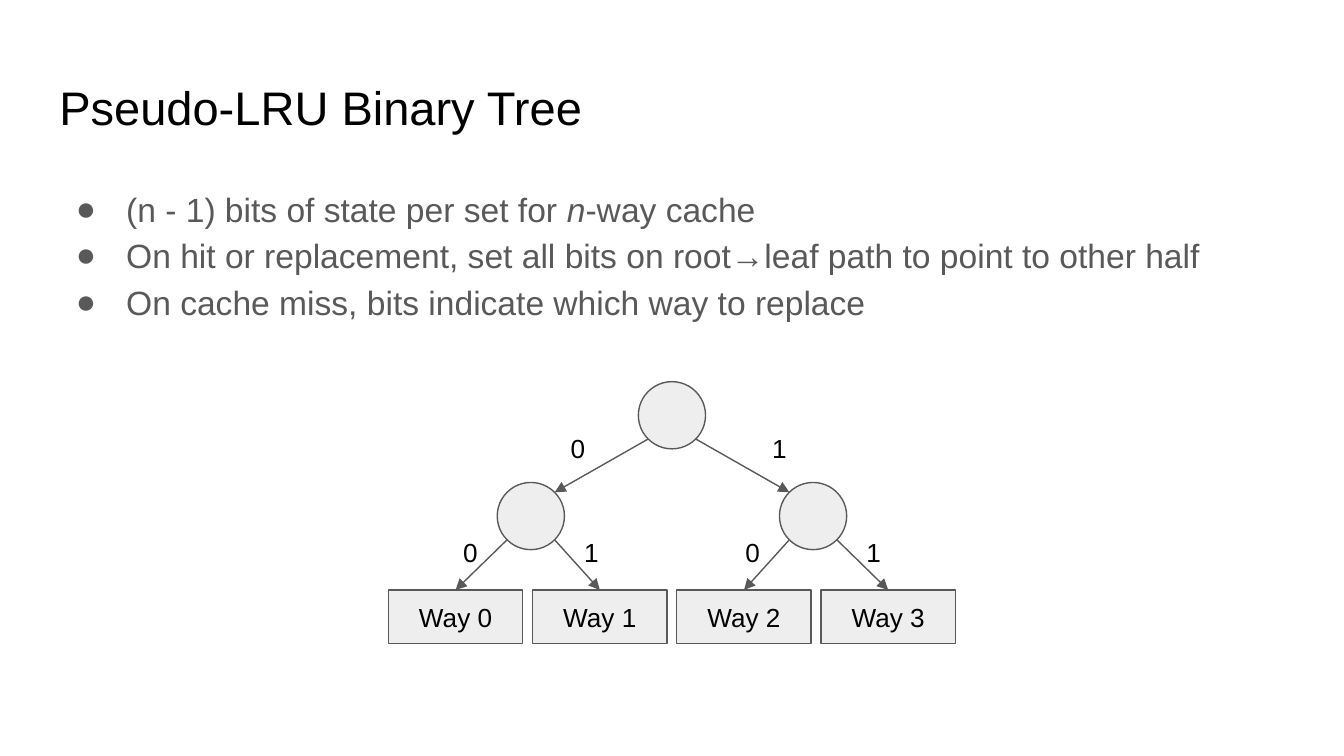
from math import sqrt
from lxml.etree import SubElement
from pptx import Presentation
from pptx.dml.color import RGBColor
from pptx.enum.shapes import MSO_CONNECTOR, MSO_SHAPE
from pptx.enum.text import MSO_ANCHOR, MSO_AUTO_SIZE, PP_ALIGN
from pptx.oxml.ns import qn
from pptx.util import Inches, Pt

COLORS = {k: RGBColor.from_string(v) for k, v in
          {"black": "000000", "gray": "595959", "light": "EEEEEE"}.items()}

prs = Presentation()
prs.slide_width = Inches(10)
prs.slide_height = prs.slide_width * 9 // 16
col = row = prs.slide_width / 100
s = prs.slides.add_slide(prs.slide_layouts[5])


def grid(x, y, w, h):
    return [round(v) for v in (x * col, y * row, w * col, h * row)]


def write(sp, paragraphs, size, color, align, anchor=MSO_ANCHOR.TOP):
    tf = sp.text_frame
    tf.word_wrap = True
    tf.auto_size = MSO_AUTO_SIZE.NONE
    tf.vertical_anchor = anchor
    tf.margin_left = tf.margin_right = tf.margin_top = tf.margin_bottom = Inches(0.1)
    for i, runs in enumerate(paragraphs):
        p = tf.add_paragraph() if i else tf.paragraphs[0]
        p.alignment = align
        for text, italic in runs:
            r = p.add_run()
            r.text = text
            r.font.name, r.font.size, r.font.italic = "Arial", Pt(size), italic
            r.font.color.rgb = COLORS[color]
    return tf


title = s.shapes.title
title.left, title.top, title.width, title.height = grid(3.41, 4.87, 93.18, 6.26)
write(title, [[("Pseudo-LRU Binary Tree", False)]], 25.2, "black", PP_ALIGN.LEFT)

bullets = [
    [("(n - 1) bits of state per set for ", False), ("n", True), ("-way cache", False)],
    [("On hit or replacement, set all bits on root→leaf path to point to other half", False)],
    [("On cache miss, bits indicate which way to replace", False)],
]
body = s.shapes.add_textbox(*grid(3.41, 12.6, 93.18, 15.5))
for p in write(body, bullets, 18, "gray", PP_ALIGN.LEFT).paragraphs:
    p.line_spacing = 1.15
    pPr = p._p.get_or_add_pPr()
    pPr.set("marL", str(Pt(36)))
    pPr.set("indent", str(Pt(-27)))
    SubElement(SubElement(pPr, qn("a:buClr")), qn("a:srgbClr"), val=str(COLORS["gray"]))
    SubElement(pPr, qn("a:buFont"), typeface="Arial")
    SubElement(pPr, qn("a:buChar"), char="●")

radius = 2.5
diag = radius / sqrt(2)
root, left, right = (50, 30.9), (39.5, 38.4), (60.5, 38.4)
way_w, way_h, way_top, way_pitch = 10, 4, 43.9, 10.73

nodes = [(MSO_SHAPE.OVAL, (x - radius, y - radius, 2 * radius, 2 * radius))
         for x, y in (root, left, right)]
boxes = [(MSO_SHAPE.RECTANGLE, (28.9 + i * way_pitch, way_top, way_w, way_h))
         for i in range(4)]
ways = []
for kind, area in nodes + boxes:
    sp = s.shapes.add_shape(kind, *grid(*area))
    sp.shadow.inherit = False
    sp.fill.solid()
    sp.fill.fore_color.rgb = COLORS["light"]
    sp.line.color.rgb = COLORS["gray"]
    sp.line.width = Pt(0.75)
    if kind == MSO_SHAPE.RECTANGLE:
        write(sp, [[(f"Way {len(ways)}", False)]], 14, "black", PP_ALIGN.CENTER, MSO_ANCHOR.MIDDLE)
        ways.append(sp)

edges = [
    (root, -1, left, None), (root, 1, right, None),
    (left, -1, None, ways[0]), (left, 1, None, ways[1]),
    (right, -1, None, ways[2]), (right, 1, None, ways[3]),
]
for (x, y), side, child, way in edges:
    x1, y1 = x + side * diag, y + diag
    x2, y2 = (child[0] - side * diag, child[1] - diag) if child else (x1, way_top)
    line = s.shapes.add_connector(MSO_CONNECTOR.STRAIGHT, *grid(x1, y1, x2, y2))
    if way:
        line.end_connect(way, 0)
    line.line.color.rgb = COLORS["gray"]
    line.line.width = Pt(0.75)
    spPr = line._element.spPr
    SubElement(spPr.find(qn("a:ln")), qn("a:tailEnd"), type="triangle")
    SubElement(spPr, qn("a:effectLst"))

labels = [(43, 31.2, "0"), (58, 31.2, "1")]
for x, y in (left, right):
    labels += [(x - 4.5, 38.9, "0"), (x + 4.5, 38.9, "1")]
for x, y, bit in labels:
    tb = s.shapes.add_textbox(*grid(x - 1.7, y, 3.4, 4.4))
    write(tb, [[(bit, False)]], 14, "black", PP_ALIGN.CENTER)

prs.save("out.pptx")
